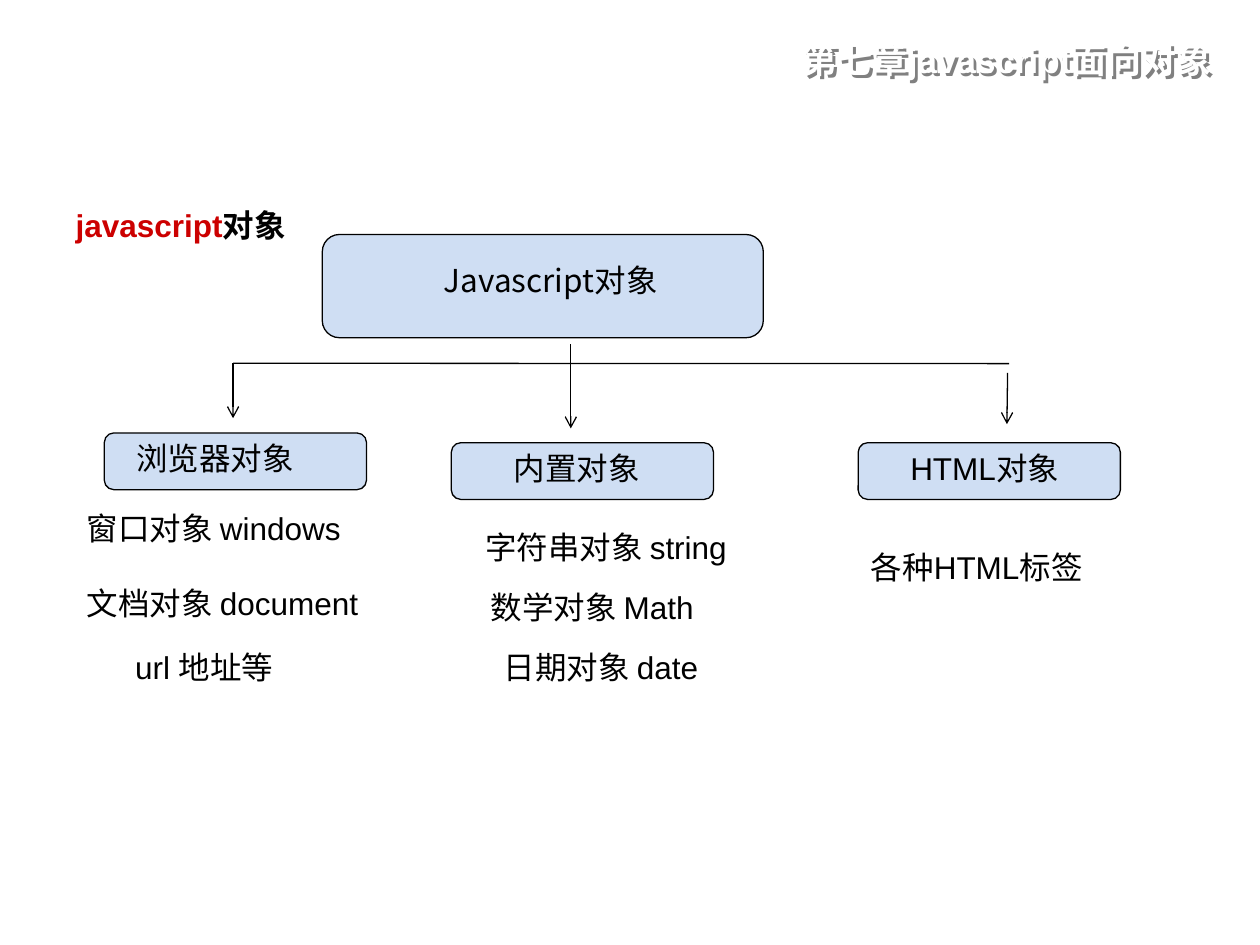
from lxml.etree import SubElement
from pptx import Presentation
from pptx.dml.color import RGBColor
from pptx.enum.shapes import MSO_CONNECTOR, MSO_SHAPE
from pptx.enum.text import MSO_ANCHOR, PP_ALIGN
from pptx.oxml.ns import qn
from pptx.util import Pt

COLORS = {"text": "000000", "accent": "CC0000", "box": "CFDEF3",
          "title": "FFFFFF", "shadow": "808080"}
LATIN, CJK = "Arial", "Noto Sans CJK SC"

TITLE = "第七章javascript面向对象"
HEADING = [("javascript", "accent"), ("对象", "text")]

# left, top, width, height
TITLE_AT = (439.2, 9.4, 272.9, 49.7)
HEADING_AT = (36, 103.3, 648, 356.4)
ROOT_BOX = (184.2, 134, 252, 59)
CHILD_SIZE = (149.8, 32.4)
CHILD_BOXES = [(59.6, 247.4), (257.9, 253), (490.4, 253)]

# left, top, width, font, paragraphs
LABELS = [
    (246.6, 145.4, 149.8, CJK, ["Javascript对象"]),
    (70.9, 247.4, 117.4, LATIN, ["浏览器对象"]),
    (286.4, 253, 101.5, LATIN, ["内置对象"]),
    (513.1, 253, 113, LATIN, ["HTML对象"]),
    (42.5, 287.3, 183.6, LATIN, ["窗口对象 windows", "文档对象 document"]),
    (70.2, 366.5, 108, LATIN, ["url 地址等"]),
    (270.2, 298.4, 170, LATIN, ["字符串对象 string"]),
    (273.3, 332.6, 150, LATIN, ["数学对象 Math"]),
    (280.8, 366.5, 144.7, LATIN, ["日期对象 date"]),
    (490.5, 309.6, 159.8, LATIN, ["各种HTML标签"]),
]
LABEL_HEIGHT, PARAGRAPH_GAP = 28.8, 21.2

# x1, y1, x2, y2, arrowhead
LINES = [
    (326.2, 196.6, 326.2, 244.8, True),
    (133.2, 207.6, 576.7, 207.8, False),
    (133.2, 207.6, 133.2, 239, True),
    (575.8, 213.1, 575.4, 242.4, True),
]


def rgb(name):
    return RGBColor.from_string(COLORS[name])


def place(sp, at):
    for name, value in zip(("left", "top", "width", "height"), at):
        setattr(sp, name, Pt(value))


def add_run(p, text, color="text", font=LATIN, **format_values):
    r = p.add_run()
    r.text = text
    for name, value in {"name": font, "size": Pt(18), **format_values}.items():
        setattr(r.font, name, value)
    r.font.color.rgb = rgb(color)
    SubElement(r.font._element, qn("a:ea"), typeface=CJK)


def add_text_shadow(sp):
    """Shadow an unfilled shape, so that its text casts the shadow."""
    sp.fill.background()
    sp.line.fill.background()
    effects = SubElement(sp._element.spPr, qn("a:effectLst"))
    shadow = SubElement(effects, qn("a:outerShdw"), dist="28000",
                        dir="2700000", algn="tl", rotWithShape="0")
    SubElement(shadow, qn("a:srgbClr"), val=COLORS["shadow"])


def add_box(slide, at):
    sp = slide.shapes.add_shape(MSO_SHAPE.ROUNDED_RECTANGLE, *map(Pt, at))
    sp.shadow.inherit = False
    sp.fill.solid()
    sp.fill.fore_color.rgb = rgb("box")
    sp.line.color.rgb = rgb("text")
    sp.line.width = Pt(0.75)


def add_label(slide, left, top, width, font, paragraphs):
    sp = slide.shapes.add_textbox(*map(Pt, (left, top, width, LABEL_HEIGHT)))
    tf = sp.text_frame
    tf.word_wrap = True
    for i, text in enumerate(paragraphs):
        p = tf.add_paragraph() if i else tf.paragraphs[0]
        if i:
            p.space_before = Pt(PARAGRAPH_GAP)
            sp.height += Pt(LABEL_HEIGHT + 14.4)
        add_run(p, text, font=font)


def add_line(slide, x1, y1, x2, y2, arrow):
    line = slide.shapes.add_connector(MSO_CONNECTOR.STRAIGHT,
                                      *map(Pt, (x1, y1, x2, y2)))
    line.line.color.rgb = rgb("text")
    line.line.width = Pt(0.75)
    if arrow:
        SubElement(line.line._get_or_add_ln(), qn("a:tailEnd"), type="arrow")
    SubElement(line._element.spPr, qn("a:effectLst"))


def main():
    prs = Presentation()
    prs.slide_width, prs.slide_height = Pt(720), Pt(540)
    slide = prs.slides.add_slide(prs.slide_layouts[1])
    title, body = slide.placeholders

    place(title, TITLE_AT)
    add_text_shadow(title)
    tf = title.text_frame
    tf.vertical_anchor = MSO_ANCHOR.MIDDLE
    p = tf.paragraphs[0]
    p.alignment = PP_ALIGN.CENTER
    add_run(p, TITLE, "title", size=Pt(20), bold=True)

    place(body, HEADING_AT)
    p = body.text_frame.paragraphs[0]
    p.line_spacing, p.space_before = 1.5, Pt(0)
    pPr = p._p.get_or_add_pPr()
    pPr.set("marL", "0")
    pPr.set("indent", "0")
    SubElement(pPr, qn("a:buNone"))
    for text, color in HEADING:
        add_run(p, text, color, bold=True)

    add_box(slide, ROOT_BOX)
    for corner in CHILD_BOXES:
        add_box(slide, corner + CHILD_SIZE)
    for label in LABELS:
        add_label(slide, *label)
    for line in LINES:
        add_line(slide, *line)

    prs.save("out.pptx")


if __name__ == "__main__":
    main()
